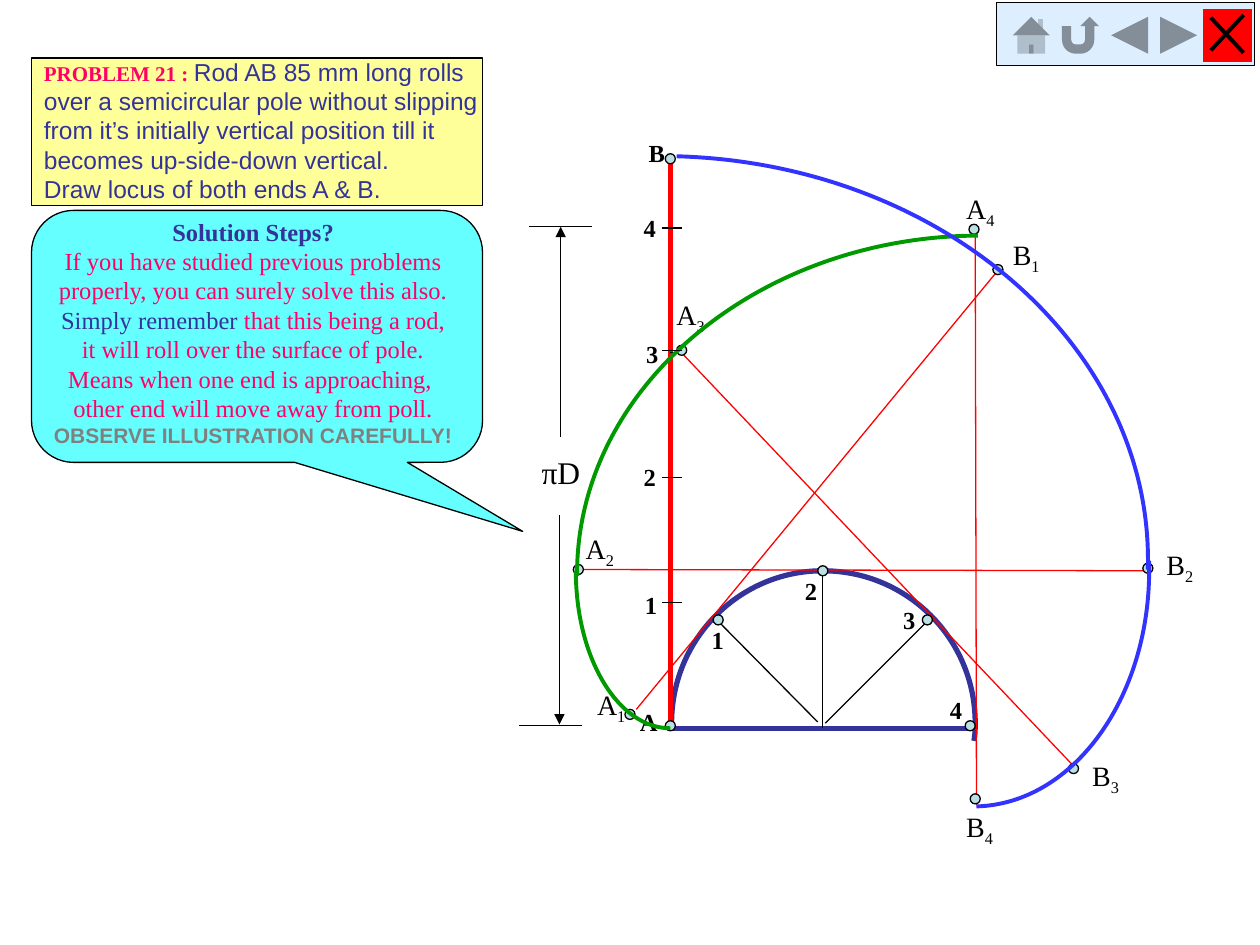
from typing import NamedTuple

from lxml.etree import SubElement
from pptx import Presentation
from pptx.dml.color import RGBColor
from pptx.enum.shapes import MSO_CONNECTOR as Connector, MSO_SHAPE as Shape
from pptx.enum.text import MSO_AUTO_SIZE as AutoSize, PP_ALIGN as Align
from pptx.oxml.ns import qn
from pptx.util import Inches, Pt

COLORS = {
    "black": "000000", "navy": "333399", "red": "FF0000", "green": "009900",
    "blue": "3333FF", "dot": "BBE0E3", "yellow": "FFFF99", "cyan": "66FFFF",
    "pink": "FF0066", "gray": "808080", "button": "DDEEFF",
}
SERIF, SANS = "Times New Roman", "Arial"
DOT = 0.08


class Line(NamedTuple):
    start: tuple[float, float]
    end: tuple[float, float]
    color: str = "black"
    weight: float = 0.75
    arrow: bool = False


class Curve(NamedTuple):
    points: list[tuple[float, float]]
    color: str
    weight: float = 2.25


class Span(NamedTuple):
    text: str
    size: float = 14
    color: str = "black"
    bold: bool = False
    font: str = SERIF
    subscript: bool = False


class Label(NamedTuple):
    left: float
    top: float
    width: float
    height: float
    paragraphs: list[list[Span]]
    align: Align = Align.LEFT
    wrap: bool = False


class Panel(NamedTuple):
    kind: Shape
    left: float
    top: float
    width: float
    height: float
    fill: str
    weight: float = 0
    adjustments: tuple[float, ...] = ()


class RodEnd(NamedTuple):
    name: str
    number: str
    dot: tuple[float, float]
    label: tuple[float, float]


def rgb(name: str) -> RGBColor:
    """Return the named colour."""
    return RGBColor.from_string(COLORS[name])


def draw_line(slide, line: Line) -> None:
    """Draw a straight line, with an arrowhead at its end if wanted."""
    connector = slide.shapes.add_connector(
        Connector.STRAIGHT, *map(Inches, line.start + line.end))
    connector.line.color.rgb = rgb(line.color)
    connector.line.width = Pt(line.weight)
    if line.arrow:
        SubElement(connector.line._get_or_add_ln(), qn("a:tailEnd"), type="triangle")
    SubElement(connector._element.spPr, qn("a:effectLst"))


def draw_curve(slide, curve: Curve) -> None:
    """Draw an open outline of chained cubic curves, three points to each."""
    start, *controls = [(Inches(x), Inches(y)) for x, y in curve.points]
    builder = slide.shapes.build_freeform(*start, scale=1.0)
    builder.add_line_segments(controls, close=False)
    shape = builder.convert_to_shape()
    outline = next(shape._element.iter(qn("a:path")))
    segments = outline.findall(qn("a:lnTo"))
    for first in range(0, len(segments), 3):
        cubic = SubElement(outline, qn("a:cubicBezTo"))
        for segment in segments[first:first + 3]:
            cubic.append(segment[0])
            outline.remove(segment)
    shape.shadow.inherit = False
    shape.fill.background()
    shape.line.color.rgb = rgb(curve.color)
    shape.line.width = Pt(curve.weight)


def draw_panel(slide, panel: Panel) -> None:
    """Draw a filled preset shape."""
    shape = slide.shapes.add_shape(panel.kind, *map(Inches, panel[1:5]))
    shape.shadow.inherit = False
    shape.fill.solid()
    shape.fill.fore_color.rgb = rgb(panel.fill)
    for index, value in enumerate(panel.adjustments):
        shape.adjustments[index] = value
    if panel.weight:
        shape.line.color.rgb = rgb("black")
        shape.line.width = Pt(panel.weight)
    else:
        shape.line.fill.background()


def draw_dot(slide, left: float, top: float) -> None:
    """Mark a point with a small circle."""
    draw_panel(slide, Panel(Shape.OVAL, left, top, DOT, DOT, "dot", 0.75))


def draw_label(slide, label: Label) -> None:
    """Write paragraphs of formatted spans in a text box."""
    text_frame = slide.shapes.add_textbox(*map(Inches, label[:4])).text_frame
    text_frame.word_wrap = label.wrap
    text_frame.auto_size = AutoSize.SHAPE_TO_FIT_TEXT
    for index, spans in enumerate(label.paragraphs):
        paragraph = text_frame.add_paragraph() if index else text_frame.paragraphs[0]
        paragraph.alignment = label.align
        for span in spans:
            run = paragraph.add_run()
            run.text = span.text
            run.font.name, run.font.size, run.font.bold = span.font, Pt(span.size), span.bold
            run.font.color.rgb = rgb(span.color)
            if span.subscript:
                run._r.get_or_add_rPr().set("baseline", "-25000")


def draw_rod_end(slide, end: RodEnd) -> None:
    """Mark and name one end of the rod."""
    draw_dot(slide, *end.dot)
    spans = [Span(end.name, 16), Span(end.number, 16, subscript=True)]
    draw_label(slide, Label(*end.label, 0.44, 0.37, [spans]))


POLE = Curve([(5.33, 5.78), (5.33, 5.76), (5.33, 5.75), (5.33, 5.74), (5.33, 5.07), (5.87, 4.53),
              (6.53, 4.53), (7.2, 4.53), (7.74, 5.07), (7.74, 5.74), (7.74, 5.78), (7.74, 5.83),
              (7.73, 5.88)], "navy", 3)
LOCI = [
    Curve([(5.32, 5.78), (4.91, 5.78), (4.57, 5.23), (4.57, 4.53)], "green"),
    Curve([(7.76, 1.87), (6, 1.88), (4.57, 3.09), (4.58, 4.57)], "green"),
    Curve([(5.37, 1.24), (7.49, 1.3), (9.16, 2.77), (9.11, 4.52)], "blue"),
    Curve([(7.75, 6.4), (8.53, 6.38), (9.15, 5.51), (9.12, 4.45)], "blue"),
]
LINES = [
    Line((5.32, 5.78), (7.74, 5.78), "navy", 3),
    Line((6.53, 4.53), (6.53, 5.78)),
    Line((6.49, 5.73), (5.66, 4.89)),
    Line((6.55, 5.74), (7.38, 4.91)),
    Line((5.32, 5.78), (5.32, 1.22), "red", 3),
    Line((4.7, 1.8), (4.2, 1.8)),
    Line((4.62, 5.76), (4.12, 5.76)),
    Line((4.45, 3.47), (4.45, 1.8), arrow=True),
    Line((4.44, 4.09), (4.44, 5.75), arrow=True),
    Line((5.4, 2.79), (8.54, 6.1), "red"),
    Line((4.56, 4.52), (9.12, 4.53), "red"),
    Line((5.05, 5.63), (7.95, 2.11), "red"),
    Line((7.74, 1.83), (7.75, 6.39), "red"),
]
MARKS = [("1", 5.55, 4.91), ("2", 6.29, 4.52), ("3", 7.07, 4.75), ("4", 7.44, 5.47),
         ("1", 5.02, 4.63), ("2", 5.01, 3.62), ("3", 5.03, 2.64), ("4", 5.01, 1.64),
         ("A", 4.98, 5.56), ("B", 5.05, 1.05)]
DOTS = [(5.66, 4.88), (6.49, 4.49), (7.32, 4.88), (7.66, 5.72), (5.28, 1.22), (5.28, 5.72)]
ROD_ENDS = [
    RodEnd("A", "1", (4.96, 5.63), (4.64, 5.41)), RodEnd("B", "1", (7.88, 2.1), (7.94, 1.84)),
    RodEnd("A", "2", (4.55, 4.48), (4.55, 4.17)), RodEnd("B", "2", (9.07, 4.47), (9.16, 4.3)),
    RodEnd("A", "3", (5.37, 2.74), (5.27, 2.31)), RodEnd("B", "3", (8.48, 6.06), (8.57, 5.97)),
    RodEnd("A", "4", (7.69, 1.78), (7.57, 1.47)), RodEnd("B", "4", (7.7, 6.3), (7.57, 6.38)),
]
CONTACT = Line((5.32, 2.8), (5.42, 2.8))
TICKS = [Line((5.25, y), (5.41, y)) for y in (4.78, 3.79, 2.78, 1.81)]
PROBLEM = Label(0.25, 0.4, 3.92, 1.26, [
    [Span("PROBLEM 21 : ", 12, "pink", True),
     Span("Rod AB 85 mm long rolls over a semicircular pole without slipping from it’s "
          "initially vertical position till it becomes up-side-down vertical.",
          color="navy", font=SANS)],
    [Span("Draw locus of both ends A & B.", color="navy", font=SANS)],
], wrap=True)
SOLUTION = Label(0.31, 1.67, 3.4, 1.93, [
    [Span("Solution Steps?", color="navy", bold=True)],
    [Span("If you have studied previous problems", color="pink")],
    [Span("properly, you can surely solve this also.", color="pink")],
    [Span("Simply remember", color="navy"), Span(" that this being a rod,", color="pink")],
    [Span("it will roll over the surface of pole.", color="pink")],
    [Span("Means when one end is approaching, ", color="pink")],
    [Span("other end will move away from poll.", color="pink")],
    [Span("OBSERVE ILLUSTRATION CAREFULLY!", 12, "gray", True, SANS)],
], Align.CENTER)
BUTTONS = [(Shape.ACTION_BUTTON_HOME, "button"), (Shape.ACTION_BUTTON_RETURN, "button"),
           (Shape.ACTION_BUTTON_BACK_OR_PREVIOUS, "button"),
           (Shape.ACTION_BUTTON_FORWARD_OR_NEXT, "button"), (Shape.ACTION_BUTTON_CUSTOM, "red")]
CLOSE_CROSS = [Line((9.61, 0.14), (9.87, 0.42), weight=2.25),
               Line((9.87, 0.12), (9.61, 0.4), weight=2.25)]


def main() -> None:
    """Build the rolling rod slide."""
    presentation = Presentation()
    presentation.slide_width, presentation.slide_height = Inches(10), Inches(7.5)
    slide = presentation.slides.add_slide(presentation.slide_layouts[6])
    draw_curve(slide, POLE)
    for line in LINES:
        draw_line(slide, line)
    draw_label(slide, Label(4.2, 3.55, 0.52, 0.4, [[Span("πD", 18)]]))
    for text, left, top in MARKS:
        width = 0.34 if text.isalpha() else 0.3
        draw_label(slide, Label(left, top, width, 0.33, [[Span(text, bold=True)]]))
    for dot in DOTS:
        draw_dot(slide, *dot)
    draw_line(slide, CONTACT)
    for end in ROD_ENDS:
        draw_rod_end(slide, end)
    for curve in LOCI:
        draw_curve(slide, curve)
    for tick in TICKS:
        draw_line(slide, tick)
    draw_panel(slide, Panel(Shape.RECTANGLE, 0.25, 0.46, 3.58, 1.17, "yellow", 0.75))
    draw_label(slide, PROBLEM)
    draw_panel(slide, Panel(Shape.ROUNDED_RECTANGULAR_CALLOUT, 0.25, 1.67, 3.58, 2, "cyan", 0.75,
                            (0.589, 0.774, 0.167)))
    draw_label(slide, SOLUTION)
    draw_panel(slide, Panel(Shape.ACTION_BUTTON_CUSTOM, 7.91, 0.02, 2.05, 0.5, "button", 0.5))
    for index, (kind, fill) in enumerate(BUTTONS):
        draw_panel(slide, Panel(kind, 7.99 + 0.39 * index, 0.07, 0.39, 0.42, fill))
    for line in CLOSE_CROSS:
        draw_line(slide, line)
    presentation.save("out.pptx")


if __name__ == "__main__":
    main()
